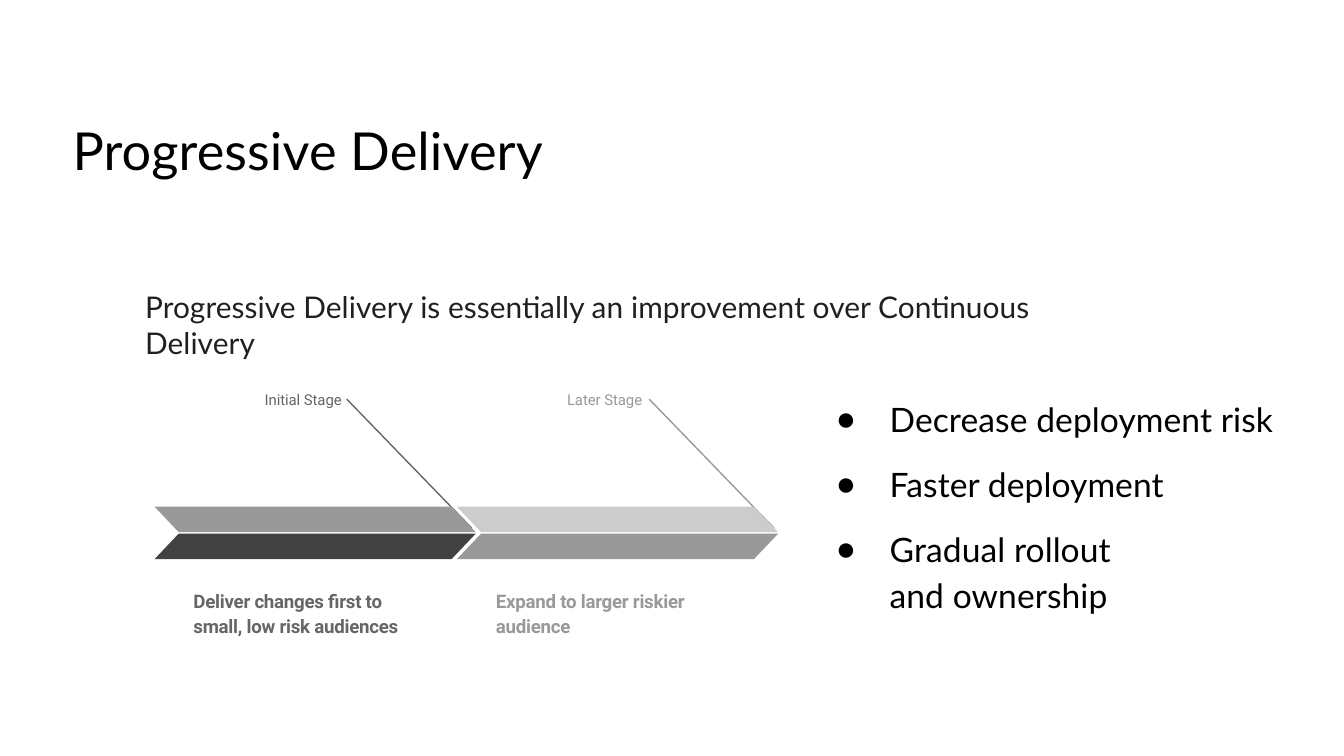
from lxml import etree
from pptx import Presentation
from pptx.dml.color import RGBColor
from pptx.enum.shapes import MSO_CONNECTOR
from pptx.enum.text import MSO_ANCHOR, MSO_AUTO_SIZE, PP_ALIGN
from pptx.oxml.ns import qn
from pptx.util import Inches, Pt

STRAIGHT = MSO_CONNECTOR.STRAIGHT
TOP = MSO_ANCHOR.TOP
NO_AUTOSIZE = MSO_AUTO_SIZE.NONE
LEFT = PP_ALIGN.LEFT

COLORS = {
    "black": "000000",
    "ink": "1F2121",
    "charcoal": "424242",
    "dark": "666666",
    "mid": "999999",
    "light": "CCCCCC",
}


def rgb(name):
    return RGBColor.from_string(COLORS[name])


def write(box, place, lines, font, size, color, bold=False, spacing=1.0,
          gap=0, bullet=None, tracking=0):
    """Place a text shape and fill it; tracking is in hundredths of a point."""
    box.left, box.top, box.width, box.height = [Inches(v) for v in place]
    frame = box.text_frame
    frame.word_wrap = True
    frame.auto_size = NO_AUTOSIZE
    frame.vertical_anchor = TOP
    frame.margin_left = Inches(0.01)
    frame.margin_top = Inches(0.02)
    frame.margin_right = frame.margin_bottom = 0
    frame.text = "\n".join(lines)
    for index, paragraph in enumerate(frame.paragraphs):
        paragraph.alignment = LEFT
        paragraph.line_spacing = spacing
        paragraph.space_before = Pt(gap if index else 0)
        properties = paragraph._p.get_or_add_pPr()
        if bullet:
            properties.set("marL", str(Inches(0.4)))
            properties.set("indent", str(-Inches(0.4)))
            etree.SubElement(properties, qn("a:buChar"), char=bullet)
        paragraph.font.name = font
        paragraph.font.size = Pt(size)
        paragraph.font.bold = bold
        paragraph.font.color.rgb = rgb(color)
        properties.find(qn("a:defRPr")).set("spc", str(tracking))


prs = Presentation()
prs.slide_width, prs.slide_height = Inches(10), Inches(45 / 8)  # 16:9
slide = prs.slides.add_slide(prs.slide_layouts[1])
shapes = slide.shapes

# Title, introduction and benefits
write(shapes.title, (0.53, 0.86, 6, 0.49), ["Progressive Delivery"],
      "Lato", 28, "black", tracking=10)
introduction = shapes.add_textbox(0, 0, 0, 0)
write(introduction, (1.07, 2.13, 7.4, 0.55),
      ["Progressive Delivery is essentially an improvement over "
       "Continuous Delivery"], "Lato", 16, "ink", tracking=6)
benefits = ["Decrease deployment risk", "Faster deployment",
            "Gradual rollout\vand ownership"]
write(slide.placeholders[1], (6.21, 2.9, 3.5, 1.7), benefits,
      "Lato", 18, "black", spacing=1.15, gap=10, bullet="●", tracking=5)

# Stages: label, description, text colour, upper and lower band colours
stages = [
    ("Initial Stage", "Deliver changes ﬁrst to small, low risk audiences",
     "dark", "mid", "charcoal"),
    ("Later Stage", "Expand to larger riskier audience",
     "mid", "light", "mid"),
]
STAGE_STEP = 2.25
BAND_LENGTH, BAND_HEIGHT, SLANT = 2.21, 0.19, 0.18

for index, (label, description, color, upper, lower) in enumerate(stages):
    left = 1.15 + index * STAGE_STEP

    # Leader line from the label to the band
    leader = shapes.add_connector(
        STRAIGHT, Inches(left + 1.43), Inches(2.97),
        Inches(left + 2.36), Inches(3.93))
    leader.line.color.rgb = rgb(color)
    leader.line.width = Pt(0.75)
    etree.SubElement(leader._element.spPr, qn("a:effectLst"))

    # Two mirrored bands that form an arrow
    for outer, inner, fill in [(3.77, 3.77 + BAND_HEIGHT, upper),
                               (3.97 + BAND_HEIGHT, 3.97, lower)]:
        outline = shapes.build_freeform(Inches(left), Inches(outer))
        corners = [(left + BAND_LENGTH, outer),
                   (left + BAND_LENGTH + SLANT, inner),
                   (left + SLANT, inner)]
        outline.add_line_segments(
            [(Inches(x), Inches(y)) for x, y in corners], close=True)
        band = outline.convert_to_shape()
        band.fill.solid()
        band.fill.fore_color.rgb = rgb(fill)
        band.line.fill.background()
        band.shadow.inherit = False

    # Label above and description below
    write(shapes.add_textbox(0, 0, 0, 0), (left + 0.81, 2.89, 0.8, 0.16),
          [label], "Roboto", 8, color, tracking=-5)
    write(shapes.add_textbox(0, 0, 0, 0), (left + 0.28, 4.35, 1.6, 0.4),
          [description], "Roboto", 10, color, bold=True, spacing=1.12,
          tracking=-10)

prs.save("out.pptx")
